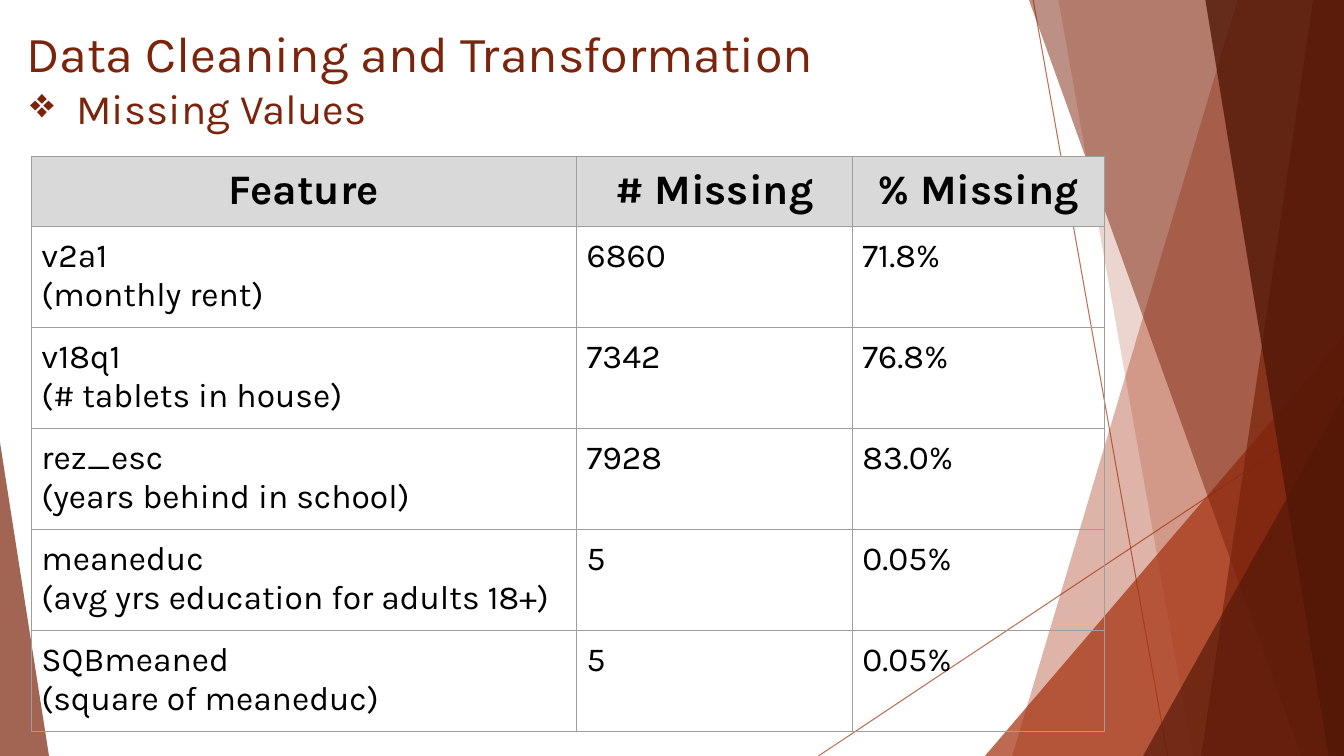
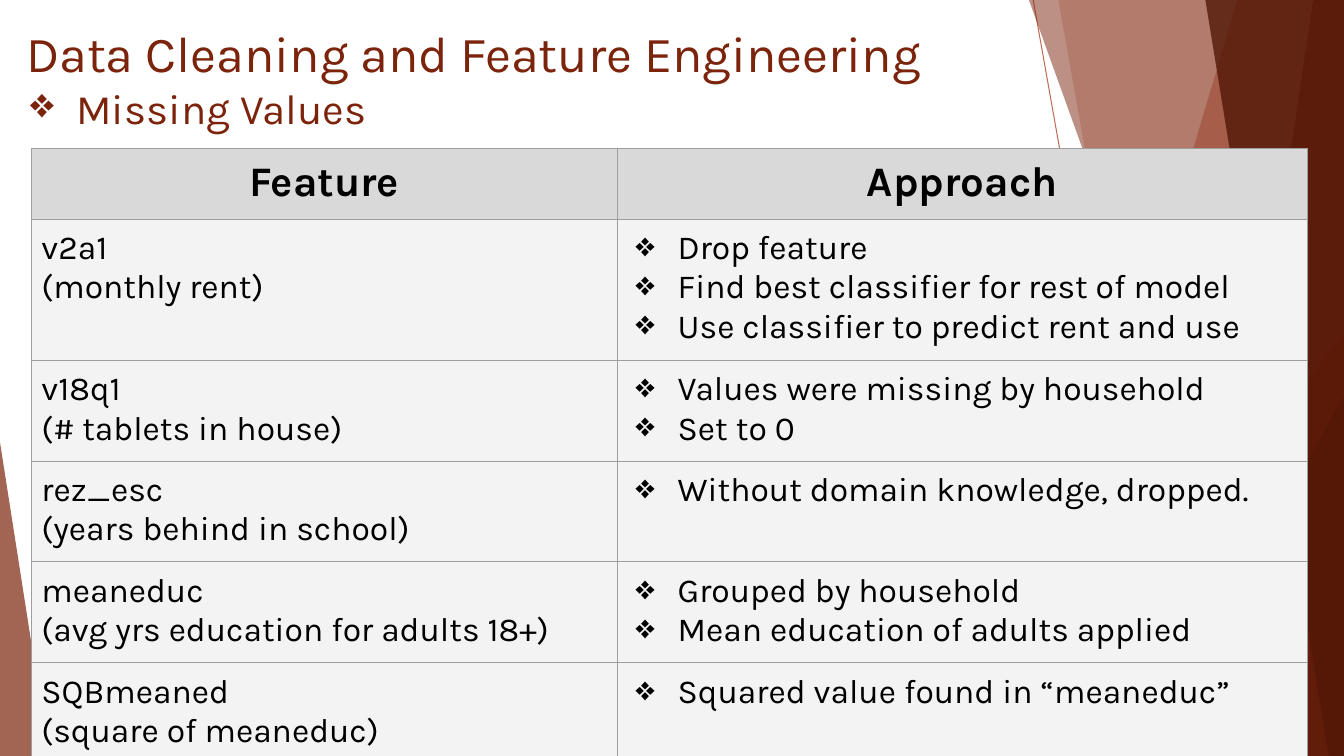
"""Builds two slides on how missing values were found and handled."""
from collections import namedtuple

from pptx import Presentation
from pptx.dml.color import RGBColor
from pptx.enum import shapes, text as t
from pptx.oxml import ns, xmlchemy
from pptx.util import Pt

RUST = RGBColor(0xA5, 0x30, 0x0F)
BRICK = RGBColor(0x7B, 0x23, 0x0B)
UMBER = RGBColor(0x52, 0x17, 0x07)
BLACK = RGBColor(0, 0, 0)
HEADER_GREY = RGBColor(0xD9, 0xD9, 0xD9)
BODY_GREY = RGBColor(0xF3, 0xF3, 0xF3)
BORDER_GREY = RGBColor(0x9E, 0x9E, 0x9E)
FONT = "Karla"
BULLET = "❖"
CELL_INSET = 7.2
HEADER_HEIGHT = 49.4
LINE_HEIGHT = 28

Box = namedtuple("Box", "left top width height")
PAGE = Box(0, 0, 960, 540)
TITLE = Box(11.5, 12.2, 677, 59)

FEATURES = [
    ["v2a1", "(monthly rent)"],
    ["v18q1", "(# tablets in house)"],
    ["rez_esc", "(years behind in school)"],
    ["meaneduc", "(avg yrs education for adults 18+)"],
    ["SQBmeaned", "(square of meaneduc)"],
]
MISSING = [("6860", "71.8%"), ("7342", "76.8%"), ("7928", "83.0%"),
           ("5", "0.05%"), ("5", "0.05%")]
APPROACHES = [
    ["Drop feature", "Find best classifier for rest of model",
     "Use classifier to predict rent and use"],
    ["Values were missing by household", "Set to 0"],
    ["Without domain knowledge, dropped."],
    ["Grouped by household", "Mean education of adults applied"],
    ["Squared value found in “meaneduc”"],
]


def add_child(parent, tag, **attributes):
    """Append a DrawingML element and return it."""
    child = xmlchemy.OxmlElement(tag)
    for name, value in attributes.items():
        child.set(name, str(value))
    parent.append(child)
    return child


def set_opacity(shape, percent):
    """Make the solid colours of a shape partly transparent."""
    for color in shape._element.iter(ns.qn("a:srgbClr")):
        add_child(color, "a:alpha", val=percent * 1000)


def write(frame, text, size=24, color=BLACK, bold=False, align=None, hang=None):
    """Add one paragraph, with a bullet when a hanging indent is given."""
    paragraph = frame.paragraphs[0]
    if paragraph.runs:
        paragraph = frame.add_paragraph()
    paragraph.alignment = align
    if hang:
        properties = paragraph._p.get_or_add_pPr()
        properties.set("marL", str(Pt(36)))
        properties.set("indent", str(-Pt(hang)))
        add_child(add_child(properties, "a:buClr"), "a:srgbClr", val=color)
        add_child(properties, "a:buChar", char=BULLET)
    run = paragraph.add_run()
    run.text = text
    run.font.name = FONT
    run.font.size = Pt(size)
    run.font.bold = bold
    run.font.color.rgb = color


def paint(shape, color, opacity):
    """Give a facet a see-through fill without outline or shadow."""
    shape.shadow.inherit = False
    shape.fill.solid()
    shape.fill.fore_color.rgb = color
    shape.line.fill.background()
    set_opacity(shape, opacity)


def add_ray(slide, box, start, end):
    """Draw a thin line between two points of the box."""
    points = [Pt(origin + offset) for point in (start, end)
              for origin, offset in zip(box[:2], point)]
    ray = slide.shapes.add_connector(shapes.MSO_CONNECTOR.STRAIGHT, *points)
    ray.line.color.rgb = RUST
    ray.line.width = Pt(0.75)
    add_child(ray._element.spPr, "a:effectLst")
    set_opacity(ray, 70)


def add_band(slide, box, top_x, bottom_x, color, opacity):
    """Fill from a slanted edge to the right side of the box."""
    right, bottom = box.left + box.width, box.top + box.height
    builder = slide.shapes.build_freeform(Pt(box.left + top_x), Pt(box.top), scale=1.0)
    builder.add_line_segments([
        (Pt(right), Pt(box.top)), (Pt(right), Pt(bottom)),
        (Pt(box.left + bottom_x), Pt(bottom))], close=True)
    paint(builder.convert_to_shape(), color, opacity)


def add_corner(slide, box, width, height, apex, color, opacity):
    """Place a right triangle in a bottom corner; apex 0 is left, 1 is right."""
    corner = slide.shapes.add_shape(
        shapes.MSO_SHAPE.ISOSCELES_TRIANGLE,
        Pt(box.left + apex * (box.width - width)),
        Pt(box.top + box.height - height), Pt(width), Pt(height))
    corner.adjustments[0] = apex
    paint(corner, color, opacity)


def add_backdrop(slide, box):
    """Layer the rays and facets along the sides of the box."""
    add_ray(slide, box, (738, 0), (834, 540))
    add_ray(slide, box, (960, 290), (584.6, 540))
    add_band(slide, box, 884, 723, RUST, 36)
    add_band(slide, box, 756, 852, RUST, 20)
    add_corner(slide, box, 256.5, 300, 1, RUST, 72)
    add_band(slide, box, 735, 929.5, BRICK, 50)
    add_band(slide, box, 938, 858, BRICK, 70)
    add_band(slide, box, 861, 949, UMBER, 80)
    add_corner(slide, box, 143.5, 257, 1, UMBER, 66)
    add_corner(slide, box, 35, 224, 0, BRICK, 70)


def add_title(slide, box, title, topic):
    """Write the title with its bulleted topic below."""
    frame = slide.shapes.add_textbox(*map(Pt, box)).text_frame
    frame.word_wrap = True
    frame.vertical_anchor = t.MSO_ANCHOR.TOP
    write(frame, title, size=36, color=BRICK)
    write(frame, topic, size=30, color=BRICK, hang=33)


def format_cell(cell, fill):
    """Set the insets, grey borders and fill of a cell."""
    cell.margin_left = cell.margin_right = Pt(CELL_INSET)
    cell.margin_top = cell.margin_bottom = Pt(CELL_INSET)
    properties = cell._tc.get_or_add_tcPr()
    for side in ("a:lnL", "a:lnR", "a:lnT", "a:lnB"):
        border = add_child(properties, side, w=Pt(0.75))
        add_child(add_child(border, "a:solidFill"), "a:srgbClr", val=BORDER_GREY)
    if fill is None:
        cell.fill.background()
    else:
        cell.fill.solid()
        cell.fill.fore_color.rgb = fill


def add_feature_table(slide, left, top, widths, headings, rows, fill=None, hang=None):
    """Build a table of lists of lines; hang puts bullets after column one."""
    heights = [HEADER_HEIGHT] + [
        2 * CELL_INSET + LINE_HEIGHT * max(map(len, row)) for row in rows]
    table = slide.shapes.add_table(
        len(heights), len(widths), Pt(left), Pt(top),
        Pt(sum(widths)), Pt(sum(heights))).table
    table.horz_banding = table.first_row = False
    for row, height in zip(table.rows, heights):
        row.height = Pt(height)
    for c, (width, heading) in enumerate(zip(widths, headings)):
        table.columns[c].width = Pt(width)
        format_cell(table.cell(0, c), HEADER_GREY)
        write(table.cell(0, c).text_frame, heading, size=30, bold=True,
              align=t.PP_ALIGN.CENTER)
        for r, row in enumerate(rows, 1):
            cell = table.cell(r, c)
            format_cell(cell, fill)
            for line in row[c]:
                write(cell.text_frame, line, hang=hang if c else None)


def add_missing_slide(deck, title):
    """Add a slide with the shared backdrop and title."""
    slide = deck.slides.add_slide(deck.slide_layouts[6])
    add_backdrop(slide, PAGE)
    add_title(slide, TITLE, title, "Missing Values")
    return slide


def main():
    """Build and save the deck."""
    deck = Presentation()
    deck.slide_width, deck.slide_height = Pt(PAGE.width), Pt(PAGE.height)

    counts = add_missing_slide(deck, "Data Cleaning and Transformation")
    add_feature_table(
        counts, 22.4, 111.6, [389.5, 197, 180],
        ["Feature", "# Missing", "% Missing"],
        [(feature, [count], [share])
         for feature, (count, share) in zip(FEATURES, MISSING)])

    approach = add_missing_slide(deck, "Data Cleaning and Feature Engineering")
    add_feature_table(
        approach, 22.4, 106, [418.5, 493], ["Feature", "Approach"],
        list(zip(FEATURES, APPROACHES)), fill=BODY_GREY, hang=30)

    deck.save("out.pptx")


if __name__ == "__main__":
    main()
